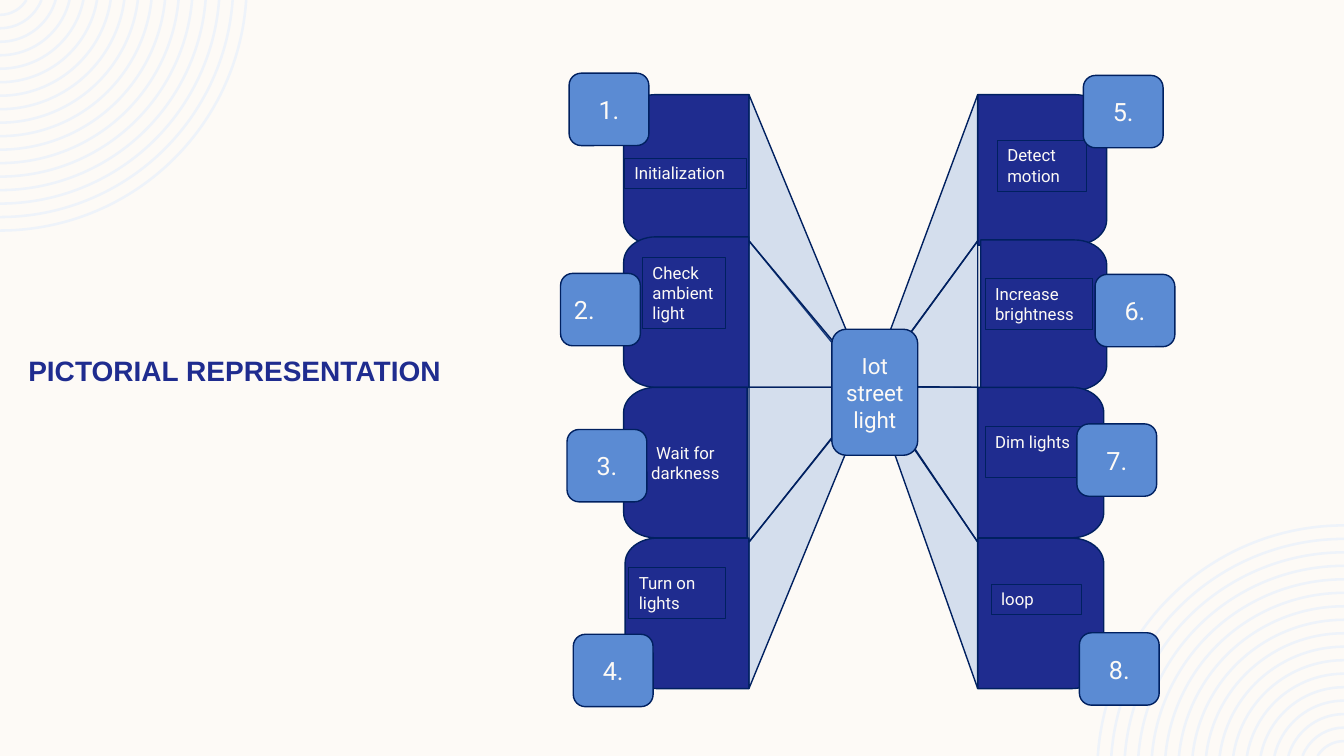
"""Build the slide that shows the steps of an IoT street light."""
from math import asin, cos, degrees

from lxml.etree import SubElement
from pptx import Presentation
from pptx.dml.color import RGBColor
from pptx.enum.shapes import MSO_SHAPE
from pptx.enum.text import MSO_ANCHOR, MSO_AUTO_SIZE, PP_ALIGN
from pptx.oxml.ns import qn
from pptx.util import Pt

CREAM = RGBColor(0xFD, 0xFA, 0xF6)
PALE_BLUE = RGBColor(0xEE, 0xF3, 0xFA)
BLUE = RGBColor(0x5B, 0x8B, 0xD3)
INDIGO = RGBColor(0x1F, 0x2C, 0x8F)
NAVY = RGBColor(0x00, 0x20, 0x60)

SLIDE_WIDTH, SLIDE_HEIGHT = 960, 540
PANEL_HEIGHT = 107.5
CORNER_WIDTH, CORNER_HEIGHT = 23, 18
BADGE_WIDTH, BADGE_HEIGHT = 57, 51.7
RING_COUNT, RING_RADIUS, RING_PITCH, RING_WIDTH, RING_OFFSET = 17, 176.2, 9.63, 1.8, 11.5

PANELS = [
    (445.5, 67.6, 89.5, True, ""),
    (445.5, 169.2, 89.5, True, ""),
    (446.5, 384.4, 88.5, True, ""),
    (445.5, 276.7, 88.2, True, "Wait for darkness"),
    (698.3, 67.6, 92.2, False, ""),
    (700.4, 171.4, 90.1, False, ""),
    (698.3, 384.4, 90.1, False, ""),
    (698.3, 276.7, 90.1, False, ""),
]
RAY_STOPS = [67.7, 172.1, 276.6, 387.2, 491.8]
LEFT_RAYS = (535, [(622.4, 279.2), (622.5, 276.6), (622.8, 276.6), (623.5, 276.5)])
RIGHT_RAYS = (698.4, [(620, 279), (622.2, 276.6), (623.5, 276), (621.4, 274.4)])
LABELS = [
    ("Initialization", 446, 113, 87.3, 21.8),
    ("Check ambient light", 459, 184, 59.4, 51),
    ("Detect motion", 712.4, 100.2, 63.8, 36.4),
    ("Increase brightness", 703.7, 199, 76.8, 36.4),
    ("Dim lights", 703.7, 304.8, 68.6, 36.4),
    ("loop", 708, 417.3, 64.5, 21.8),
    ("Turn on lights", 449.3, 405.4, 69, 36.4),
]
BADGES = [
    ("1.", 406.5, 52.3, PP_ALIGN.CENTER),
    ("4.", 409.5, 453.1, PP_ALIGN.CENTER),
    ("7.", 769.2, 302.8, PP_ALIGN.CENTER),
    ("3.", 405, 306.8, PP_ALIGN.CENTER),
    ("2.", 400.4, 195.3, PP_ALIGN.LEFT),
    ("6.", 782.2, 196, PP_ALIGN.CENTER),
    ("5.", 773.8, 53.9, PP_ALIGN.CENTER),
    ("8.", 771, 452, PP_ALIGN.CENTER),
]


def write_text(shape, text, size=12, font="Roboto", color=CREAM, bold=False,
               align=PP_ALIGN.LEFT, anchor=MSO_ANCHOR.TOP, autosize=MSO_AUTO_SIZE.NONE):
    """Put formatted text into a shape."""
    frame = shape.text_frame
    frame.word_wrap = True
    frame.auto_size = autosize
    frame.vertical_anchor = anchor
    paragraph = frame.paragraphs[0]
    paragraph.alignment = align
    run = paragraph.add_run()
    run.text = text
    run.font.size = Pt(size)
    run.font.name = font
    run.font.bold = bold
    run.font.color.rgb = color


def style(shape, fill, line=NAVY, line_width=1, opacity=None):
    """Set the fill, the outline and the opacity of a shape."""
    shape.shadow.inherit = False
    if fill is None:
        shape.fill.background()
    else:
        shape.fill.solid()
        shape.fill.fore_color.rgb = fill
    if opacity is not None:
        color = shape.fill._xPr.find(qn("a:solidFill"))[0]
        SubElement(color, qn("a:alpha")).set("val", str(opacity * 1000))
    shape.line.color.rgb = line
    shape.line.width = Pt(line_width)


def add_outline(slide, contours, close=True):
    """Add one freeform made of one or more contours."""
    contours = [[(Pt(x), Pt(y)) for x, y in contour] for contour in contours]
    builder = slide.shapes.build_freeform(*contours[0][0])
    for index, contour in enumerate(contours):
        if index:
            builder.move_to(*contour[0])
        builder.add_line_segments(contour[1:], close=close)
    return builder.convert_to_shape()


def straight_segments(shape):
    """List the straight segments of a freeform."""
    return list(shape._element.iter(qn("a:lnTo")))


def bend(segment, width, height, start, sweep):
    """Turn a straight segment into an arc, with angles in degrees."""
    arc = SubElement(segment.getparent(), qn("a:arcTo"))
    arc.set("wR", str(Pt(width)))
    arc.set("hR", str(Pt(height)))
    arc.set("stAng", str(round(start * 60000)))
    arc.set("swAng", str(round(sweep * 60000)))
    segment.getparent().replace(segment, arc)


def add_corner_rings(slide, opposite):
    """Add concentric rings at the top left or the bottom right corner."""
    radii = [RING_RADIUS - index * RING_PITCH for index in range(RING_COUNT)]
    starts = [asin(RING_OFFSET / radius) for radius in radii]
    contours = [[(radius * cos(start), 0), (0, radius - RING_OFFSET)]
                for radius, start in zip(radii, starts)]
    if opposite:
        contours = [[(SLIDE_WIDTH - x, SLIDE_HEIGHT - y) for x, y in contour]
                    for contour in contours]
    rings = add_outline(slide, contours, close=False)
    for segment, radius, start in zip(straight_segments(rings), radii, starts):
        angle = degrees(start)
        bend(segment, radius, radius, angle + 180 * opposite, 90 - angle)
    style(rings, None, line=PALE_BLUE, line_width=RING_WIDTH)


def add_panel(slide, left, top, width, rounded_left, text):
    """Add a panel with two rounded corners on its outer side."""
    points = [(0, 0), (width - CORNER_WIDTH, 0), (width, CORNER_HEIGHT),
              (width, PANEL_HEIGHT - CORNER_HEIGHT),
              (width - CORNER_WIDTH, PANEL_HEIGHT), (0, PANEL_HEIGHT)]
    if rounded_left:
        points = [(width - x, y) for x, y in points]
    panel = add_outline(slide, [[(left + x, top + y) for x, y in points]])
    segments = straight_segments(panel)
    sweep = -90 if rounded_left else 90
    bend(segments[1], CORNER_WIDTH, CORNER_HEIGHT, 270, sweep)
    bend(segments[3], CORNER_WIDTH, CORNER_HEIGHT, 180 if rounded_left else 0, sweep)
    style(panel, INDIGO)
    if text:
        write_text(panel, text, align=PP_ALIGN.CENTER, anchor=MSO_ANCHOR.MIDDLE)


def add_rays(slide, edge, tips):
    """Add the see-through triangles between the panels and the hub."""
    for top, bottom, tip in zip(RAY_STOPS, RAY_STOPS[1:], tips):
        ray = add_outline(slide, [[(edge, top), tip, (edge, bottom)]])
        style(ray, BLUE, opacity=25)


def add_label(slide, text, left, top, width, height):
    """Add a thinly outlined step label."""
    label = slide.shapes.add_textbox(Pt(left), Pt(top), Pt(width), Pt(height))
    label.line.color.rgb = NAVY
    label.line.width = Pt(0.75)
    write_text(label, text, autosize=MSO_AUTO_SIZE.SHAPE_TO_FIT_TEXT)


def add_box(slide, text, left, top, width, height, size, align=PP_ALIGN.CENTER):
    """Add a rounded box with text in its middle."""
    box = slide.shapes.add_shape(MSO_SHAPE.ROUNDED_RECTANGLE,
                                 Pt(left), Pt(top), Pt(width), Pt(height))
    style(box, BLUE)
    write_text(box, text, size=size, align=align, anchor=MSO_ANCHOR.MIDDLE)


def add_title(slide, text):
    """Place and fill the title placeholder."""
    title = slide.shapes.title
    title.left, title.top, title.width, title.height = Pt(13), Pt(249), Pt(340.5), Pt(31.5)
    write_text(title, text, size=20, font="Arial", color=INDIGO, bold=True)


def main():
    """Build and save the presentation."""
    presentation = Presentation()
    presentation.slide_width, presentation.slide_height = Pt(SLIDE_WIDTH), Pt(SLIDE_HEIGHT)
    slide = presentation.slides.add_slide(presentation.slide_layouts[5])
    slide.background.fill.solid()
    slide.background.fill.fore_color.rgb = CREAM
    for opposite in (False, True):
        add_corner_rings(slide, opposite)
    for panel in PANELS:
        add_panel(slide, *panel)
    for rays in (LEFT_RAYS, RIGHT_RAYS):
        add_rays(slide, *rays)
    for label in LABELS:
        add_label(slide, *label)
    for text, left, top, align in BADGES:
        add_box(slide, text, left, top, BADGE_WIDTH, BADGE_HEIGHT, 18, align)
    add_box(slide, "Iot street light", 594.2, 235.2, 61.3, 90, 16)
    add_title(slide, "PICTORIAL REPRESENTATION")
    presentation.save("out.pptx")


if __name__ == "__main__":
    main()
